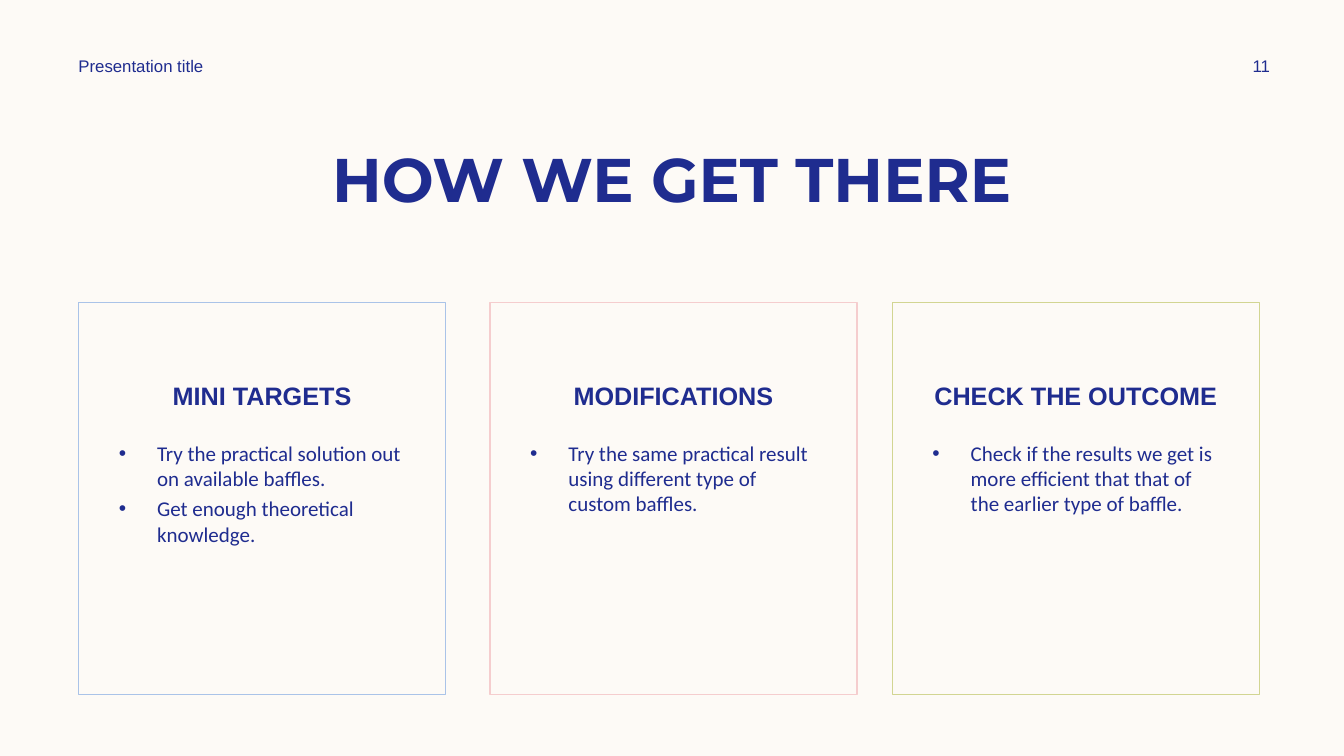
from dataclasses import dataclass

from lxml import etree
from pptx import Presentation
from pptx import util as u
from pptx.dml import color
from pptx.enum import shapes, text
from pptx.oxml import ns


@dataclass(frozen=True)
class Theme:
    """Colours, fonts and type sizes of the deck."""
    paper: str = "FDFAF6"
    ink: str = "1F2C8F"
    blue: str = "AAC3E8"
    pink: str = "F5CDCE"
    green: str = "D2D592"
    title_font: str = "Montserrat"
    label_font: str = "Arial"
    body_font: str = "Calibri"
    title: float = 44
    heading: float = 18
    body: float = 15
    small: float = 12


THEME = Theme()
CARD_W, CARD_H = 3.64, 3.89
CARDS = [
    (0.78, THEME.blue, "MINI TARGETS",
     ["Try the practical solution out on available baffles.",
      "Get enough theoretical knowledge."]),
    (4.86, THEME.pink, "MODIFICATIONS",
     ["Try the same practical result using different type of custom baffles."]),
    (8.85, THEME.green, "CHECK THE OUTCOME",
     ["Check if the results we get is more efficient that that of the earlier type of baffle."]),
]


def rgb(value):
    """Turn a hex string into a colour."""
    return color.RGBColor.from_string(value)


def add_bullet(p, indent=0.38):
    """Give a paragraph a hanging bullet."""
    pPr = p._p.get_or_add_pPr()
    pPr.set("marL", str(u.Inches(indent)))
    pPr.set("indent", str(-u.Inches(indent)))
    etree.SubElement(pPr, ns.qn("a:buFont"), typeface="Arial")
    etree.SubElement(pPr, ns.qn("a:buChar"), char="•")


def write(sp, lines, *, font, size, bold=False, align=text.PP_ALIGN.LEFT,
          anchor=text.MSO_ANCHOR.TOP, top=0.05, bullets=False, gap=0):
    """Fill a shape with formatted paragraphs."""
    tf = sp.text_frame
    tf.word_wrap = True
    tf.vertical_anchor = anchor
    tf.margin_top = u.Inches(top)
    for i, line in enumerate(lines):
        p = tf.add_paragraph() if i else tf.paragraphs[0]
        p.alignment = align
        if i:
            p.space_before = u.Pt(gap)
        if bullets:
            add_bullet(p)
        r = p.add_run()
        r.text = line
        r.font.name = font
        r.font.size = u.Pt(size)
        r.font.bold = bold
        r.font.color.rgb = rgb(THEME.ink)


def add_text(s, box, lines, **fmt):
    """Add a text box with formatted paragraphs."""
    sp = s.shapes.add_textbox(*map(u.Inches, box))
    write(sp, lines, **fmt)


def add_header(s, x, y, w, h):
    """Place the running title at the left and the page number at the right."""
    fmt = dict(font=THEME.label_font, size=THEME.small, anchor=text.MSO_ANCHOR.MIDDLE)
    number_w = 1.08
    add_text(s, (x, y, 3.5, h), ["Presentation title"], **fmt)
    add_text(s, (x + w - number_w, y, number_w, h), ["11"],
             align=text.PP_ALIGN.CENTER, **fmt)


def add_title(s, x, y, w, h):
    """Place the centred slide title."""
    add_text(s, (x, y, w, h), ["HOW WE GET THERE"], font=THEME.title_font,
             size=THEME.title, bold=True, align=text.PP_ALIGN.CENTER)


def add_card(s, x, y, w, h, outline, heading, points):
    """Place an outlined card with a heading and its bullet points."""
    sp = s.shapes.add_shape(shapes.MSO_SHAPE.RECTANGLE, *map(u.Inches, (x, y, w, h)))
    sp.shadow.inherit = False
    sp.fill.background()
    sp.line.color.rgb = rgb(outline)
    sp.line.width = u.Pt(1)
    write(sp, [heading], font=THEME.label_font, size=THEME.heading, bold=True,
          align=text.PP_ALIGN.CENTER, top=0.77)
    side, head, foot = 0.3, 1.32, 0.16
    add_text(s, (x + side, y + head, w - 2 * side, h - head - foot), points,
             font=THEME.body_font, size=THEME.body, bullets=True, gap=3.6)


def main():
    """Build and save the slide."""
    prs = Presentation()
    prs.slide_width, prs.slide_height = u.Inches(13.33), u.Inches(7.5)
    s = prs.slides.add_slide(prs.slide_layouts[6])
    s.background.fill.solid()
    s.background.fill.fore_color.rgb = rgb(THEME.paper)
    add_title(s, 0.83, 1.35, 11.67, 0.84)
    add_header(s, 0.68, 0.5, 12.37, 0.3)
    for x, outline, heading, points in CARDS:
        add_card(s, x, 3, CARD_W, CARD_H, outline, heading, points)
    prs.save("out.pptx")


if __name__ == "__main__":
    main()
